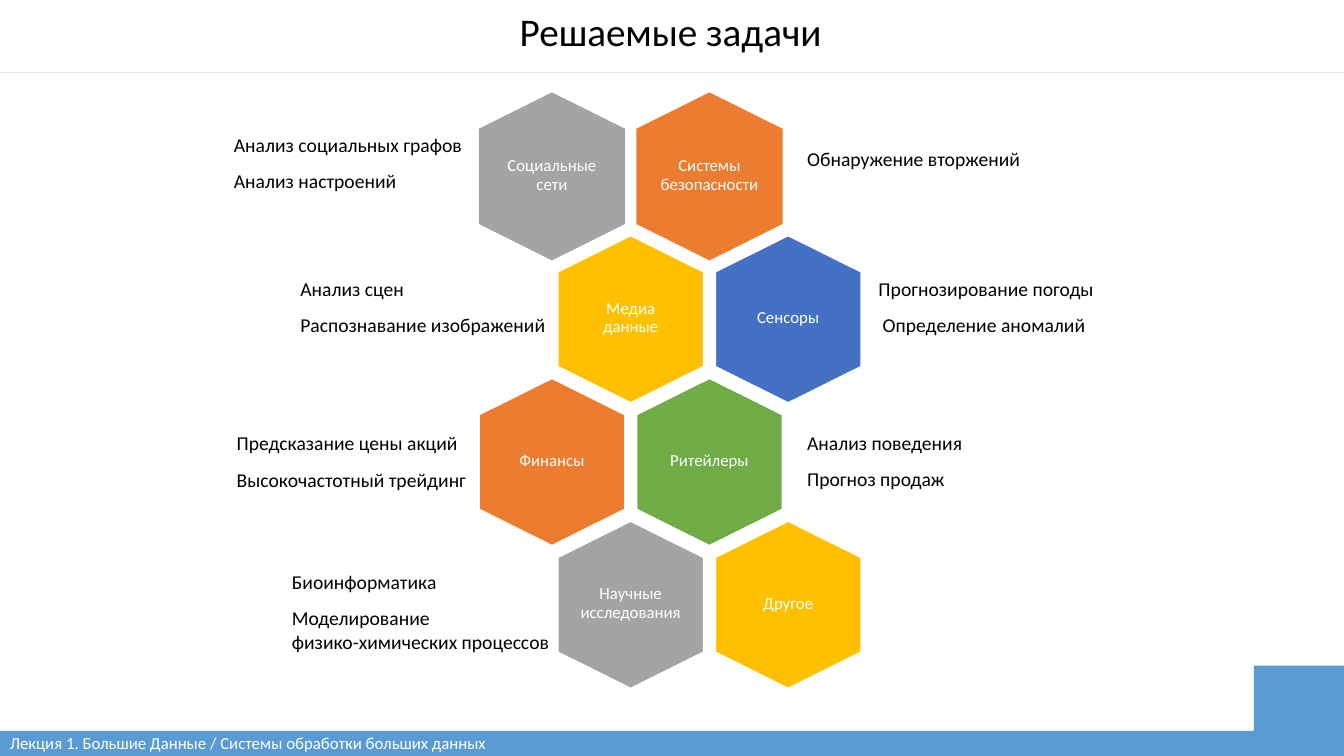
"""Build the slide of big data tasks: a honeycomb of fields with notes beside it."""
from dataclasses import dataclass

from lxml import etree
from pptx import Presentation
from pptx import util as u
from pptx.dml.color import RGBColor
from pptx.enum import shapes, text
from pptx.oxml.ns import qn


@dataclass(frozen=True)
class Theme:
    """Colours, font and type sizes of the deck."""
    font: str = "Calibri"
    title_size: float = 28
    note_size: float = 14
    label_size: float = 12
    ink: str = "000000"
    paper: str = "FFFFFF"
    rule: str = "E7E6E6"
    footer: str = "5B9BD4"
    gray: str = "A4A4A4"
    orange: str = "EC7C30"
    gold: str = "FFC000"
    blue: str = "4471C4"
    green: str = "6FAC46"


def write(frame, content, *, theme, size, color, align=text.PP_ALIGN.LEFT,
          anchor=text.MSO_ANCHOR.TOP, margins=(0, 0, 0, 0), wrap=True,
          leading=None, gap=0):
    """Fill a text frame: newlines split paragraphs, vertical tabs split lines."""
    frame.word_wrap = wrap
    frame.auto_size = text.MSO_AUTO_SIZE.NONE
    frame.vertical_anchor = anchor
    (frame.margin_left, frame.margin_top,
     frame.margin_right, frame.margin_bottom) = map(u.Pt, margins)
    frame.text = content
    for index, paragraph in enumerate(frame.paragraphs):
        paragraph.alignment = align
        paragraph.space_before = u.Pt(gap if index else 0)
        if leading:
            paragraph.line_spacing = u.Pt(leading)
        for run in paragraph.runs:
            run.font.name = theme.font
            run.font.size = u.Pt(size)
            run.font.color.rgb = RGBColor.from_string(color)


class Board:
    """Holds the theme and the current slide and draws each kind of element."""

    def __init__(self, slide, theme):
        self.slide, self.theme = slide, theme

    def title(self, content):
        """Place the slide title."""
        heading = self.slide.shapes.title
        heading.left, heading.top, heading.width, heading.height = map(
            u.Pt, (0, 5.5, 958, 36))
        write(heading.text_frame, content, theme=self.theme,
              size=self.theme.title_size, color=self.theme.ink,
              align=text.PP_ALIGN.CENTER)

    def rule(self, y):
        """Draw a thin line across the slide."""
        divider = self.slide.shapes.add_connector(
            shapes.MSO_CONNECTOR.STRAIGHT, 0, u.Pt(y), u.Pt(960), u.Pt(y))
        divider.line.color.rgb = RGBColor.from_string(self.theme.rule)
        divider.line.width = u.Pt(0.5)
        etree.SubElement(divider.element.spPr, qn("a:effectLst"))

    def polygon(self, points, color, outlined=False):
        """Draw a filled outline through the points."""
        start, *rest = [(u.Pt(x), u.Pt(y)) for x, y in points]
        builder = self.slide.shapes.build_freeform(*start)
        builder.add_line_segments(rest, close=True)
        area = builder.convert_to_shape()
        area.shadow.inherit = False
        area.fill.solid()
        area.fill.fore_color.rgb = RGBColor.from_string(color)
        if outlined:
            area.line.color.rgb = RGBColor.from_string(self.theme.paper)
            area.line.width = u.Pt(1.5)
        else:
            area.line.fill.background()
        return area

    def hexagon(self, x, y, label, color, outlined):
        """Draw one labelled honeycomb cell."""
        width, height, shoulder = 104.5, 120, 26
        middle, right = x + width / 2, x + width
        upper, lower, bottom = y + shoulder, y + height - shoulder, y + height
        cell = self.polygon(
            [(middle, y), (right, upper), (right, lower),
             (middle, bottom), (x, lower), (x, upper)], color, outlined)
        write(cell.text_frame, label, theme=self.theme,
              size=self.theme.label_size, color=self.theme.paper,
              align=text.PP_ALIGN.CENTER, anchor=text.MSO_ANCHOR.MIDDLE,
              margins=(0, 0, 0, 2), leading=13.2)

    def note(self, x, y, content):
        """Place the tasks that belong to a cell."""
        tasks = self.slide.shapes.add_textbox(*map(u.Pt, (x, y, 190, 62)))
        write(tasks.text_frame, content, theme=self.theme,
              size=self.theme.note_size, color=self.theme.ink,
              wrap=False, gap=9.2)

    def footer(self, content):
        """Draw the footer band with its raised corner and lecture name."""
        band = self.polygon(
            [(0, 522), (895.7, 522), (895.7, 475.5), (960, 475.5),
             (960, 540), (0, 540)], self.theme.footer)
        write(band.text_frame, content, theme=self.theme,
              size=self.theme.label_size, color=self.theme.paper,
              anchor=text.MSO_ANCHOR.BOTTOM, margins=(7, 0, 0, 2.5))


def main():
    """Build and save the slide."""
    theme = Theme()
    deck = Presentation()
    deck.slide_width, deck.slide_height = u.Pt(960), u.Pt(540)
    board = Board(deck.slides.add_slide(deck.slide_layouts[5]), theme)

    board.footer("Лекция 1. Большие Данные / Системы обработки больших данных")
    board.title("Решаемые задачи")
    board.rule(51.75)

    fields = [
        [("Социальные\nсети", theme.gray), ("Системы\nбезопасности", theme.orange)],
        [("Медиа\nданные", theme.gold), ("Сенсоры", theme.blue)],
        [("Финансы", theme.orange), ("Ритейлеры", theme.green)],
        [("Научные\nисследования", theme.gray), ("Другое", theme.gold)],
    ]
    pitch = 112.5
    for row, pair in enumerate(fields):
        for column, (label, color) in enumerate(pair):
            x = 342 + pitch * (column + row % 2 / 2)
            board.hexagon(x, 66 + 102 * row, label, color, outlined=row > 0)

    tasks = [
        (167, 95, "Анализ социальных графов\nАнализ настроений"),
        (576.5, 105, "Обнаружение вторжений"),
        (214.5, 197.5, "Анализ сцен\nРаспознавание изображений"),
        (627.5, 197.5, "Прогнозирование погоды"),
        (630.5, 223.5, "Определение аномалий"),
        (169, 308, "Предсказание цены акций\nВысокочастотный трейдинг"),
        (576.5, 307.5, "Анализ поведения\nПрогноз продаж"),
        (208.5, 407, "Биоинформатика\nМоделирование\vфизико-химических процессов"),
    ]
    for x, y, content in tasks:
        board.note(x, y, content)

    deck.save("out.pptx")


if __name__ == "__main__":
    main()
